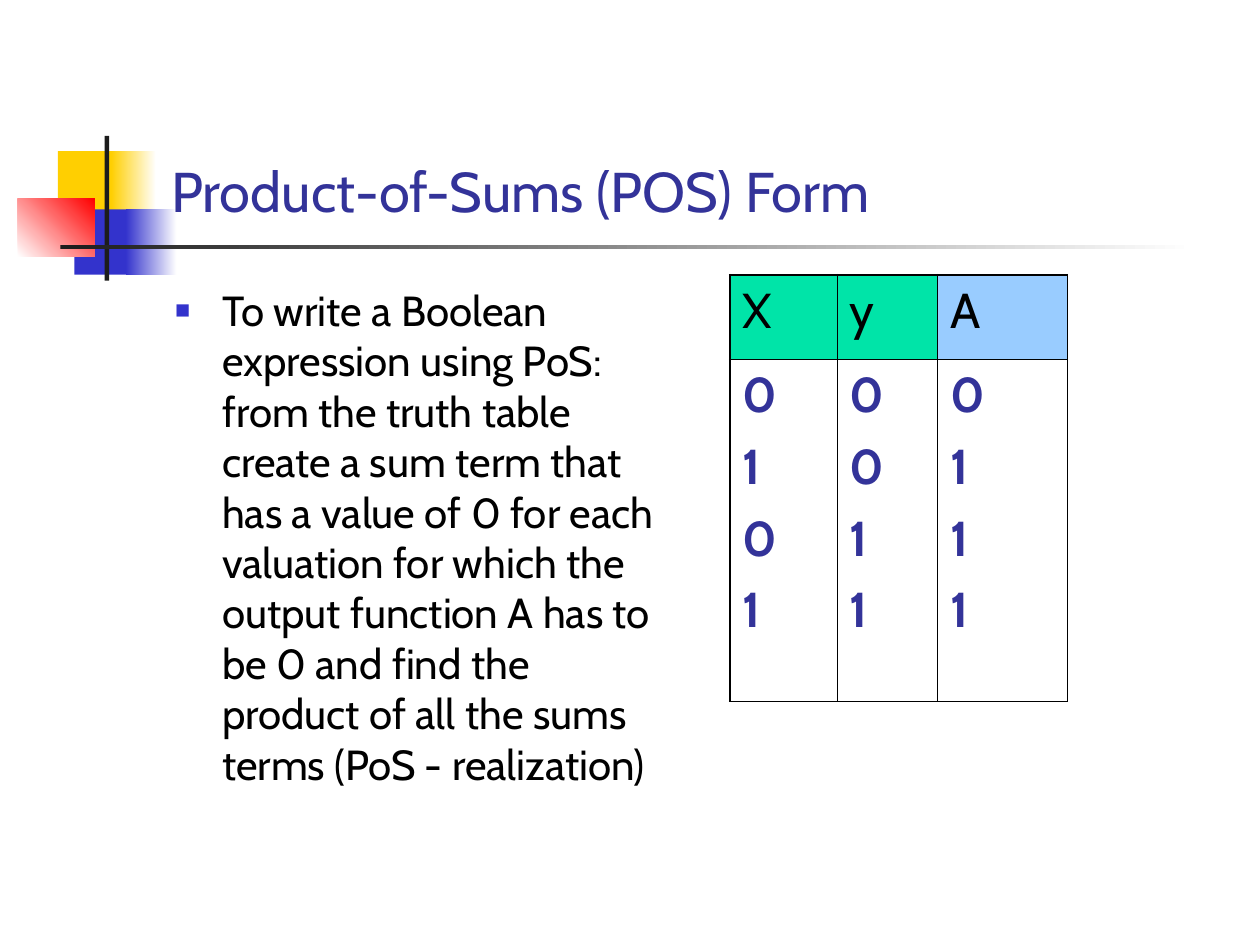
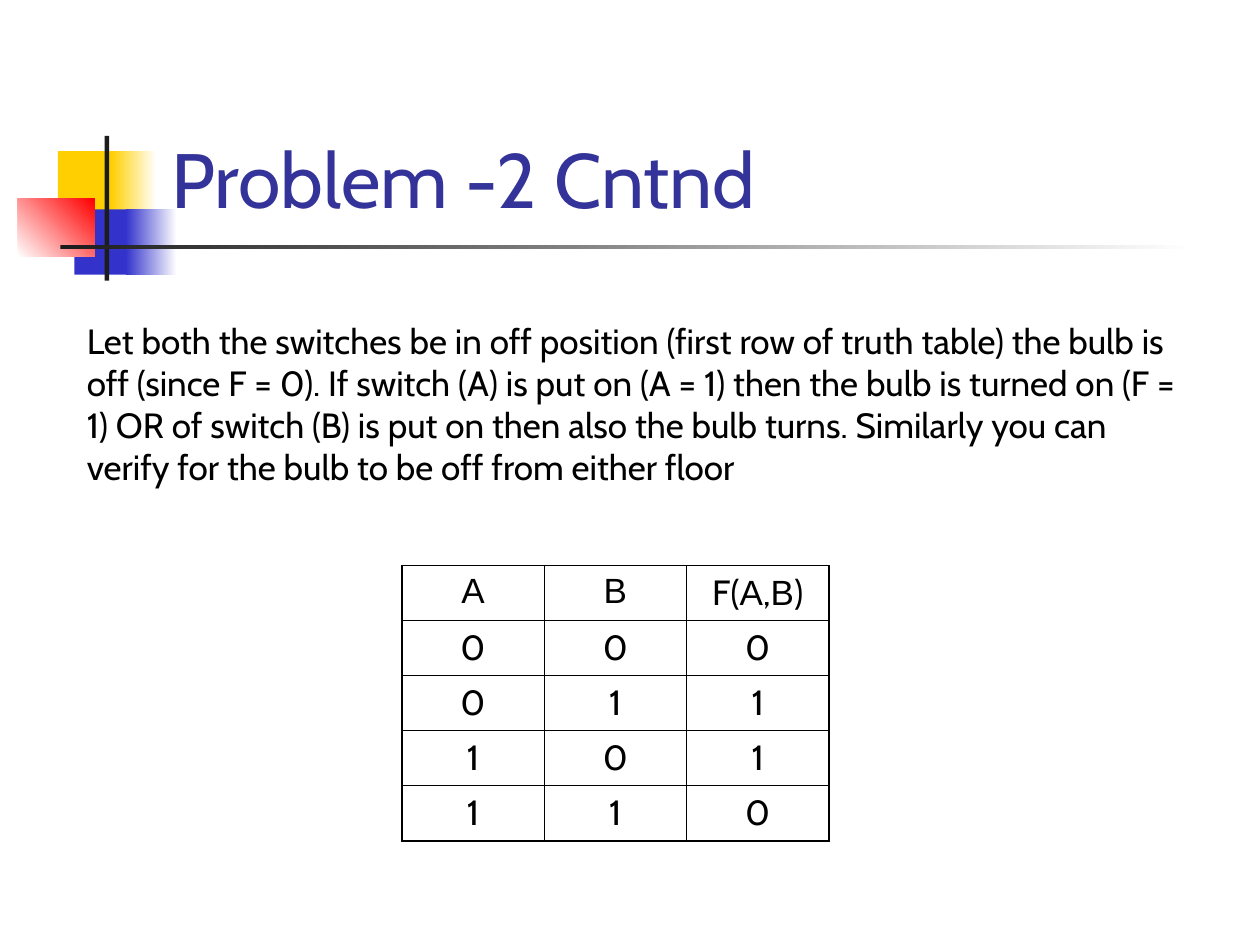
from itertools import groupby

from lxml import etree
from pptx import Presentation
from pptx.dml.color import RGBColor
from pptx.enum.shapes import MSO_SHAPE
from pptx.enum.text import MSO_ANCHOR, PP_ALIGN
from pptx.oxml.ns import qn
from pptx.util import Cm, Pt

MAIN_FONT = "Cabin"
LETTER_FONT = "Arial"
BLACK, WHITE = "000000", "FFFFFF"
CHARCOAL = "1C1C1C"
YELLOW, BLUE, RED = "FFCF01", "3333CC", "FF0000"
INDIGO = "333399"
INPUT_GREEN, OUTPUT_BLUE = "00E4A8", "99CCFF"
THICK, THIN = 1.08, 0.45

# left, top, width, height (cm), start colour, end colour, angle
EMBLEM = [
    (1.17, 3.05, 1.22, 1.32, YELLOW, None, 0),
    (2.24, 3.05, 0.91, 1.32, YELLOW, WHITE, 0),
    (1.5, 4.22, 1.17, 1.32, BLUE, None, 0),
    (2.54, 4.22, 1.02, 1.32, BLUE, WHITE, 0),
    (0.36, 4.01, 1.55, 1.17, WHITE, RED, 45),
    (2.11, 2.74, 0.09, 2.92, CHARCOAL, None, 0),
    (1.22, 4.94, 22.86, 0.09, CHARCOAL, WHITE, 0),
]

POS_RULE = (
    "To write a Boolean expression using PoS: from the truth table create a "
    "sum term that has a value of 0 for each valuation for which the output "
    "function A has to be 0 and find the product of all the sums terms "
    "(PoS - realization)"
)
SWITCH_STORY = (
    "Let both the switches be in off position (first row of truth table) the "
    "bulb is off (since F = 0). If switch (A) is put on (A = 1) then the bulb "
    "is turned on (F = 1) OR of switch (B) is put on then also the bulb turns. "
    "Similarly you can verify for the bulb to be off from either floor"
)


def rgb(hex_colour):
    return RGBColor.from_string(hex_colour)


def add_block(slide, left, top, width, height, start, end, angle):
    """Draw a borderless rectangle, plain or fading from start to end."""
    block = slide.shapes.add_shape(
        MSO_SHAPE.RECTANGLE, Cm(left), Cm(top), Cm(width), Cm(height))
    block.shadow.inherit = False
    block.line.fill.background()
    if end is None:
        block.fill.solid()
        block.fill.fore_color.rgb = rgb(start)
        return
    block.fill.gradient()
    block.fill.gradient_angle = angle
    for stop, colour in zip(block.fill.gradient_stops, (start, end)):
        stop.color.rgb = rgb(colour)


def format_runs(frame, size, colour=BLACK, bold=False):
    for paragraph in frame.paragraphs:
        for run in paragraph.runs:
            run.font.name = MAIN_FONT
            run.font.size = Pt(size)
            run.font.bold = bold
            run.font.color.rgb = rgb(colour)


def add_text(slide, text, left, top, width, height, size, colour=BLACK):
    frame = slide.shapes.add_textbox(
        Cm(left), Cm(top), Cm(width), Cm(height)).text_frame
    frame.word_wrap = True
    frame.text = text
    format_runs(frame, size, colour)
    return frame


def add_square_bullet(paragraph):
    properties = paragraph._p.get_or_add_pPr()
    indent = Cm(0.95)
    properties.set("marL", str(indent))
    properties.set("indent", str(-indent))
    colour = etree.SubElement(properties, qn("a:buClr"))
    etree.SubElement(colour, qn("a:srgbClr"), val=BLUE)
    etree.SubElement(properties, qn("a:buSzPct"), val="60000")
    etree.SubElement(properties, qn("a:buFont"), typeface=LETTER_FONT)
    etree.SubElement(properties, qn("a:buChar"), char="■")


def set_borders(cell, widths):
    """Set black borders; widths are in points: left, right, top, bottom."""
    properties = cell._tc.get_or_add_tcPr()
    for position, (side, width) in enumerate(zip("LRTB", widths)):
        border = etree.Element(qn(f"a:ln{side}"), w=str(Pt(width)))
        fill = etree.SubElement(border, qn("a:solidFill"))
        etree.SubElement(fill, qn("a:srgbClr"), val=BLACK)
        properties.insert(position, border)


def add_truth_table(slide, left, top, columns, heights, rows, top_border):
    """Add an unfilled table with a thick frame and thin inner rules."""
    table = slide.shapes.add_table(
        len(rows), len(columns), Cm(left), Cm(top),
        Cm(sum(columns)), Cm(sum(heights))).table
    table.first_row = table.horz_banding = False
    for column, width in zip(table.columns, columns):
        column.width = Cm(width)
    for row, height in zip(table.rows, heights):
        row.height = Cm(height)
    last_row, last_column = len(rows) - 1, len(columns) - 1
    for r, values in enumerate(rows):
        for c, value in enumerate(values):
            cell = table.cell(r, c)
            cell.text_frame.text = value
            cell.fill.background()
            set_borders(cell, (
                THICK if c == 0 else THIN,
                THICK if c == last_column else THIN,
                top_border if r == 0 else THIN,
                THICK if r == last_row else THIN))
    return table


def write_heading(paragraph, text):
    """Write the variables A and B in the letter font, the rest as usual."""
    paragraph.text = ""
    for is_variable, letters in groupby(text, lambda letter: letter in "AB"):
        run = paragraph.add_run()
        run.text = "".join(letters)
        run.font.name = LETTER_FONT if is_variable else MAIN_FONT


def add_titled_slide(deck, title, size):
    slide = deck.slides.add_slide(deck.slide_layouts[6])
    for block in EMBLEM:
        add_block(slide, *block)
    frame = add_text(slide, title, 3.2, 0.58, 21.64, 4.06, size, INDIGO)
    frame.vertical_anchor = MSO_ANCHOR.BOTTOM
    return slide


def add_pos_slide(deck):
    slide = add_titled_slide(deck, "Product-of-Sums (POS) Form", 32)
    rule = add_text(slide, POS_RULE, 3.28, 5.61, 10.59, 11.43, 24)
    rule.paragraphs[0].space_before = Pt(6)
    add_square_bullet(rule.paragraphs[0])

    values = ["\n".join(column) for column in ("0101", "0011", "0111")]
    table = add_truth_table(
        slide, 14.71, 5.54, (2.16, 2.03, 2.62), (1.7, 6.9),
        ["XyA", values], THICK)
    for cell, colour in zip(table.rows[0].cells,
                            (INPUT_GREEN, INPUT_GREEN, OUTPUT_BLUE)):
        cell.fill.solid()
        cell.fill.fore_color.rgb = rgb(colour)
        format_runs(cell.text_frame, 28)
    for cell in table.rows[1].cells:
        format_runs(cell.text_frame, 28, INDIGO, bold=True)
    for cell in table.iter_cells():
        for paragraph in cell.text_frame.paragraphs:
            paragraph.space_before = Pt(7)


def add_switch_slide(deck):
    slide = add_titled_slide(deck, "Problem -2 Cntnd", 44)
    add_text(slide, SWITCH_STORY, 1.5, 6.32, 22.81, 3.66, 20)

    headings = ("A", "B", "F(A,B)")
    rows = [headings, "000", "011", "101", "110"]
    table = add_truth_table(
        slide, 8.1, 11.4, [2.87] * 3, [1.11] * len(rows), rows, THIN)
    for cell in table.iter_cells():
        format_runs(cell.text_frame, 20)
        cell.text_frame.paragraphs[0].alignment = PP_ALIGN.CENTER
        cell.text_frame.paragraphs[0].space_before = Pt(5)
    for cell, heading in zip(table.rows[0].cells, headings):
        paragraph = cell.text_frame.paragraphs[0]
        write_heading(paragraph, heading)
        for run in paragraph.runs:
            run.font.size = Pt(20)
            run.font.color.rgb = rgb(BLACK)


def main():
    deck = Presentation()
    deck.slide_width, deck.slide_height = Cm(25.4), Cm(19.05)
    add_pos_slide(deck)
    add_switch_slide(deck)
    deck.save("out.pptx")


if __name__ == "__main__":
    main()
